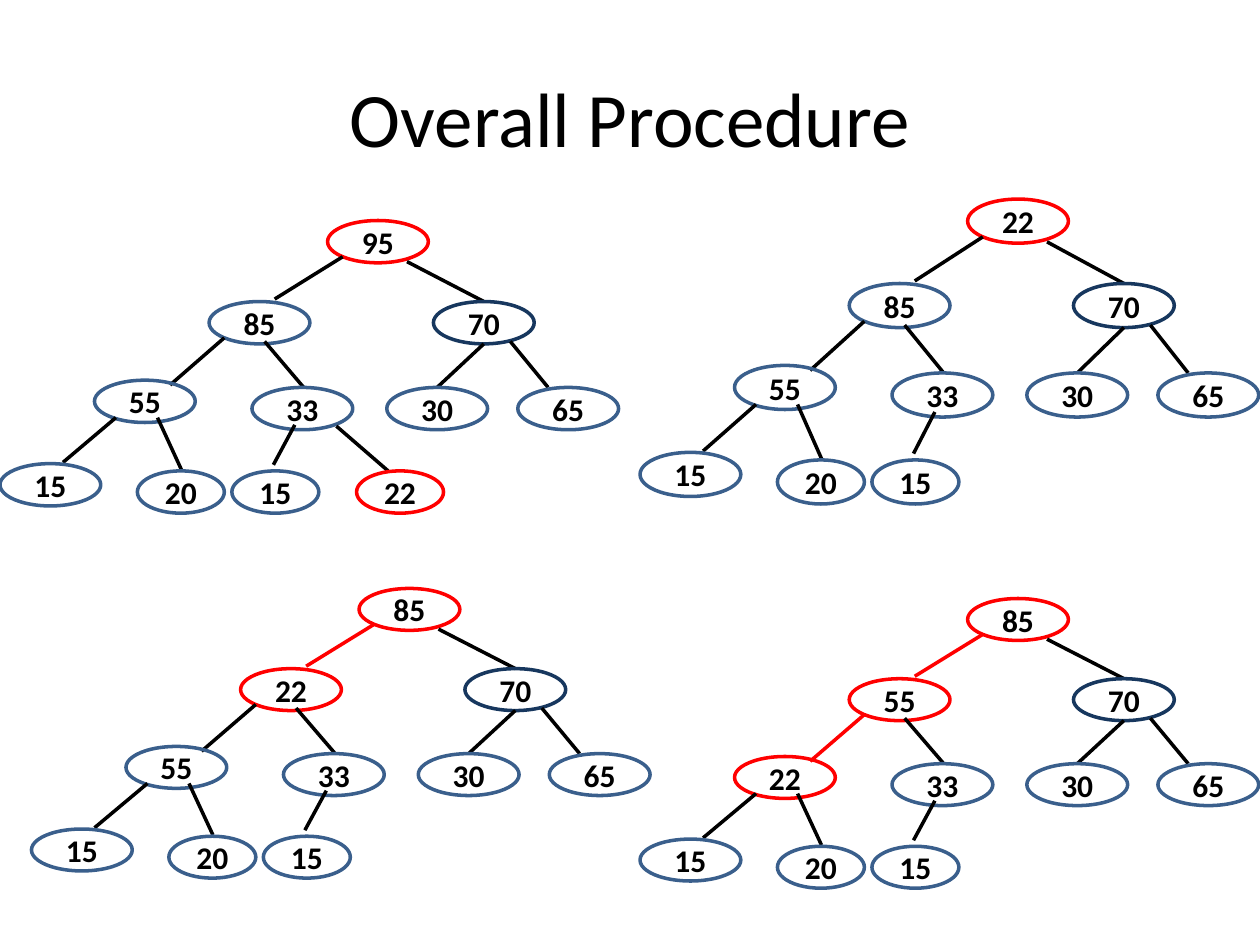
"""Build the heap sort overview slide with four heap states."""
from dataclasses import dataclass

import pptx
import pptx.util
from lxml import etree
from pptx.dml.color import RGBColor
from pptx.enum.shapes import MSO_CONNECTOR, MSO_SHAPE
from pptx.enum.text import MSO_ANCHOR, PP_ALIGN
from pptx.oxml.ns import qn
from pptx.shapes.shapetree import GroupShapes
from pptx.util import Inches

BLACK = RGBColor(0x00, 0x00, 0x00)
RED = RGBColor(0xFF, 0x00, 0x00)
BLUE = RGBColor(0x3A, 0x5F, 0x8C)
NAVY = RGBColor(0x17, 0x37, 0x5E)
FONT = "Calibri"
NODE_HEIGHT = 0.35
RIGHT_CHILD = 2


@dataclass(frozen=True)
class Slot:
    """Place of one heap index, with the edge that links it to its parent."""
    left: float
    top: float
    width: float = 0.8
    edge: tuple[float, float, float, float] | None = None


@dataclass(frozen=True)
class Heap:
    """One heap state: array values, marked indexes and placement."""
    left: float
    top: float
    stretch: float
    values: tuple[int, ...]
    marked: frozenset[int]


SLOTS = (
    Slot(2.6, 0),
    Slot(1.66, 0.67, edge=(2.18, 0.65, 2.72, 0.3)),
    Slot(3.44, 0.67, edge=(3.23, 0.34, 3.84, 0.67)),
    Slot(0.75, 1.32, edge=(1.35, 1.36, 1.78, 0.97)),
    Slot(2, 1.38, edge=(2.1, 1, 2.41, 1.38)),
    Slot(3.07, 1.38, edge=(3.47, 1.38, 3.84, 1.02)),
    Slot(4.11, 1.38, edge=(4.05, 1, 4.35, 1.38)),
    Slot(0, 2.01, edge=(0.5, 2, 0.92, 1.63)),
    Slot(1.09, 2.07, 0.69, (1.25, 1.63, 1.44, 2.06)),
    Slot(1.84, 2.07, 0.69, (2.17, 2.02, 2.34, 1.69)),
    Slot(2.83, 2.07, 0.69, (2.67, 1.7, 3.08, 2.07)),
)

HEAPS = (
    Heap(5.08, 1.58, 1, (22, 85, 70, 55, 33, 30, 65, 15, 20, 15), frozenset({0})),
    Heap(0, 1.75, 0.96, (95, 85, 70, 55, 33, 30, 65, 15, 20, 15, 22), frozenset({0, 10})),
    Heap(0.25, 4.67, 0.95, (85, 22, 70, 55, 33, 30, 65, 15, 20, 15), frozenset({0, 1})),
    Heap(5.08, 4.75, 0.95, (85, 55, 70, 22, 33, 30, 65, 15, 20, 15), frozenset({0, 1, 3})),
)


def draw_edge(shapes: GroupShapes, heap: Heap, index: int) -> None:
    """Draw the line between a node and its parent."""
    x1, y1, x2, y2 = SLOTS[index].edge
    edge = shapes.add_connector(
        MSO_CONNECTOR.STRAIGHT,
        Inches(heap.left + x1), Inches(heap.top + y1 * heap.stretch),
        Inches(heap.left + x2), Inches(heap.top + y2 * heap.stretch))
    on_path = {index, (index - 1) // 2} <= heap.marked
    edge.line.color.rgb = RED if on_path else BLACK
    edge.line.width = pptx.util.Pt(2)
    etree.SubElement(edge._element.spPr, qn("a:effectLst"))


def draw_node(shapes: GroupShapes, heap: Heap, index: int) -> None:
    """Draw one heap node with its value."""
    slot = SLOTS[index]
    node = shapes.add_shape(
        MSO_SHAPE.OVAL,
        Inches(heap.left + slot.left), Inches(heap.top + slot.top * heap.stretch),
        Inches(slot.width), Inches(NODE_HEIGHT * heap.stretch))
    node.shadow.inherit = False
    node.fill.background()
    plain = NAVY if index == RIGHT_CHILD else BLUE
    node.line.color.rgb = RED if index in heap.marked else plain
    node.line.width = pptx.util.Pt(2)
    node.text_frame.vertical_anchor = MSO_ANCHOR.MIDDLE
    paragraph = node.text_frame.paragraphs[0]
    paragraph.alignment = PP_ALIGN.CENTER
    value = paragraph.add_run()
    value.text = str(heap.values[index])
    value.font.name = FONT
    value.font.size = pptx.util.Pt(18)
    value.font.bold = True
    value.font.color.rgb = BLACK


def main() -> None:
    """Create and save the presentation."""
    presentation = pptx.Presentation()
    presentation.slide_width = Inches(10)
    presentation.slide_height = Inches(7.5)
    slide = presentation.slides.add_slide(presentation.slide_layouts[5])

    title = slide.shapes.title
    title.left, title.top = Inches(0.5), Inches(0.3)
    title.width, title.height = Inches(9), Inches(1.25)
    title.text_frame.vertical_anchor = MSO_ANCHOR.MIDDLE
    paragraph = title.text_frame.paragraphs[0]
    paragraph.alignment = PP_ALIGN.CENTER
    heading = paragraph.add_run()
    heading.text = "Overall Procedure"
    heading.font.name = FONT
    heading.font.size = pptx.util.Pt(44)
    heading.font.color.rgb = BLACK

    for heap in HEAPS:
        shapes = slide.shapes.add_group_shape().shapes
        for index in range(len(heap.values)):
            if SLOTS[index].edge:
                draw_edge(shapes, heap, index)
            draw_node(shapes, heap, index)

    presentation.save("out.pptx")


if __name__ == "__main__":
    main()
